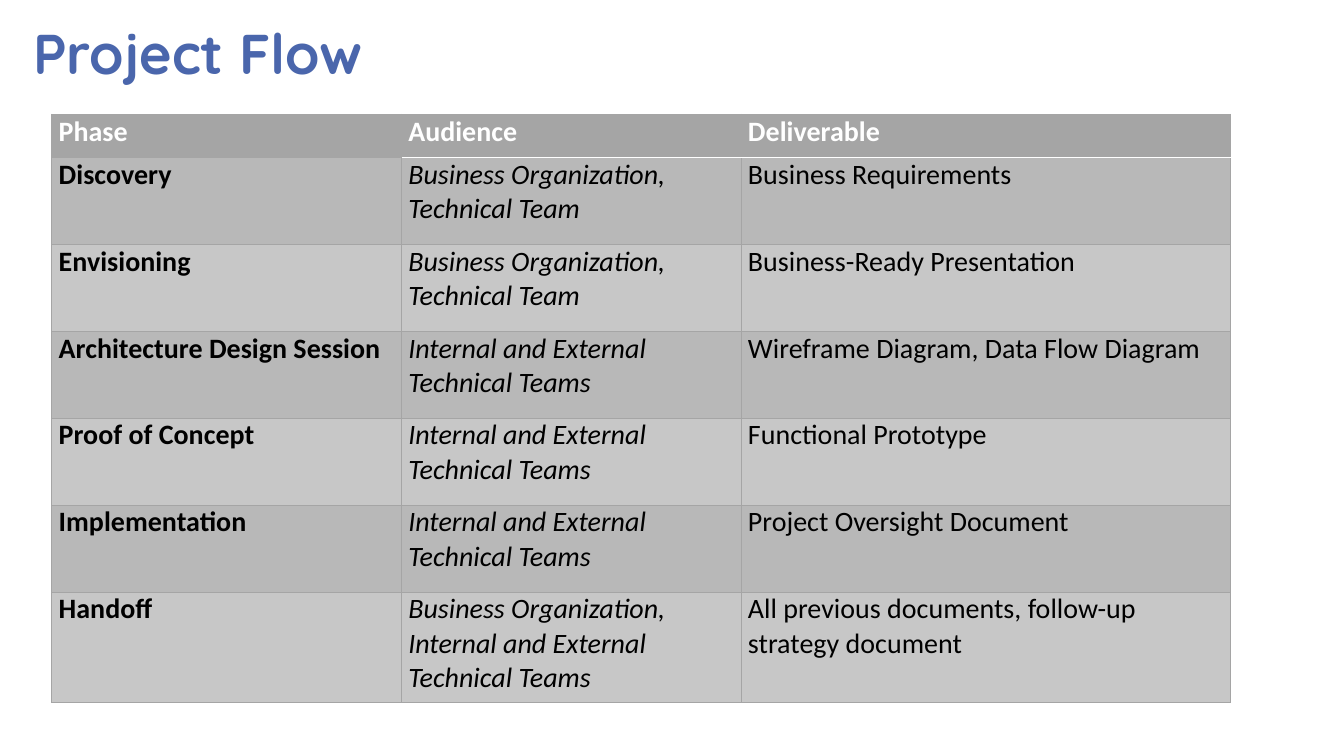
from lxml import etree
from pptx import Presentation
from pptx.dml.color import RGBColor
from pptx.enum.text import MSO_ANCHOR, MSO_AUTO_SIZE, PP_ALIGN
from pptx.oxml.ns import qn
from pptx.util import Cm, Pt

BOTTOM, TOP = MSO_ANCHOR.BOTTOM, MSO_ANCHOR.TOP
LEFT, NO_FIT = PP_ALIGN.LEFT, MSO_AUTO_SIZE.NONE

# Content
TITLE = "Project Flow"
HEAD = ("Phase", "Audience", "Deliverable")
BOTH = "Business Organization, Technical Team"
TECH = "Internal and External Technical Teams"
PHASES = [
    ("Discovery", BOTH, "Business Requirements"),
    ("Envisioning", BOTH, "Business-Ready Presentation"),
    ("Architecture Design Session", TECH,
     "Wireframe Diagram, Data Flow Diagram"),
    ("Proof of Concept", TECH, "Functional Prototype"),
    ("Implementation", TECH, "Project Oversight Document"),
    ("Handoff", "Business Organization, " + TECH,
     "All previous documents, follow-up strategy document"),
]

# Theme and sizes
THEME = {
    "title": ("Quicksand", 40, "4A66AC"),
    "head": ("Calibri", 20, "FFFFFF"),
    "body": ("Calibri", 20, "000000"),
    "line": "A5A5A5",
    "rule": "FFFFFF",
    "bands": ("B8B8B8", "C7C7C7"),
}
COLS = [Cm(8.81), Cm(8.56), Cm(12.34)]
ROWS = [Cm(1.09)] + [Cm(2.19)] * (len(PHASES) - 1) + [Cm(2.77)]


def write(frame, text, role, bold=False, slant=False):
    """Add one styled run to the first paragraph."""
    face, size, tint = THEME[role]
    para = frame.paragraphs[0]
    para.alignment = LEFT
    run = para.add_run()
    run.text = text
    font = run.font
    font.name, font.size = face, Pt(size)
    font.bold, font.italic = bold, slant
    font.color.rgb = RGBColor.from_string(tint)
    return para


def border(cell, edges):
    """Draw the cell edges, given as side: (colour, points)."""
    props = cell._tc.get_or_add_tcPr()
    for side in "LRTB":
        tint, width = edges[side]
        line = etree.SubElement(props, qn("a:ln" + side), w=str(Pt(width)))
        fill = etree.SubElement(line, qn("a:solidFill"))
        etree.SubElement(fill, qn("a:srgbClr"), val=tint)


def edges_of(row, col):
    """White rule under the header, heavier line after the first column."""
    thin, thick = (THEME["line"], 0.5), (THEME["line"], 1)
    rule = (THEME["rule"], 1)
    edges = dict.fromkeys("LRTB", thin)
    if row == 0 and col > 0:
        edges["B"] = rule
    if row == 1 and col > 0:
        edges["T"] = rule
    if row > 0 and col < 2:
        edges["R" if col == 0 else "L"] = thick
    return edges


# Slide
deck = Presentation()
deck.slide_width, deck.slide_height = Cm(33.87), Cm(19.05)
slide = deck.slides.add_slide(deck.slide_layouts[5])

# Title
title = slide.shapes.title
title.left, title.top = Cm(0.58), Cm(0.64)
title.width, title.height = Cm(13.97), Cm(1.63)
frame = title.text_frame
frame.vertical_anchor, frame.auto_size = BOTTOM, NO_FIT
frame.word_wrap = True
write(frame, TITLE, "title", bold=True).line_spacing = 0.8

# Table
grid = slide.shapes.add_table(len(ROWS), len(COLS), Cm(1.3), Cm(2.88),
                              sum(COLS), sum(ROWS)).table
for col, width in zip(grid.columns, COLS):
    col.width = width
for row, height in zip(grid.rows, ROWS):
    row.height = height

for r, texts in enumerate([HEAD] + PHASES):
    for c, text in enumerate(texts):
        cell = grid.cell(r, c)
        cell.margin_left = cell.margin_right = Cm(0.18)
        cell.margin_top = cell.margin_bottom = 0
        cell.vertical_anchor = TOP
        border(cell, edges_of(r, c))
        tint = THEME["bands"][(r - 1) % 2] if r else THEME["line"]
        cell.fill.solid()
        cell.fill.fore_color.rgb = RGBColor.from_string(tint)
        write(cell.text_frame, text, "body" if r else "head",
              bold=r == 0 or c == 0, slant=r > 0 and c == 1)

deck.save("out.pptx")
